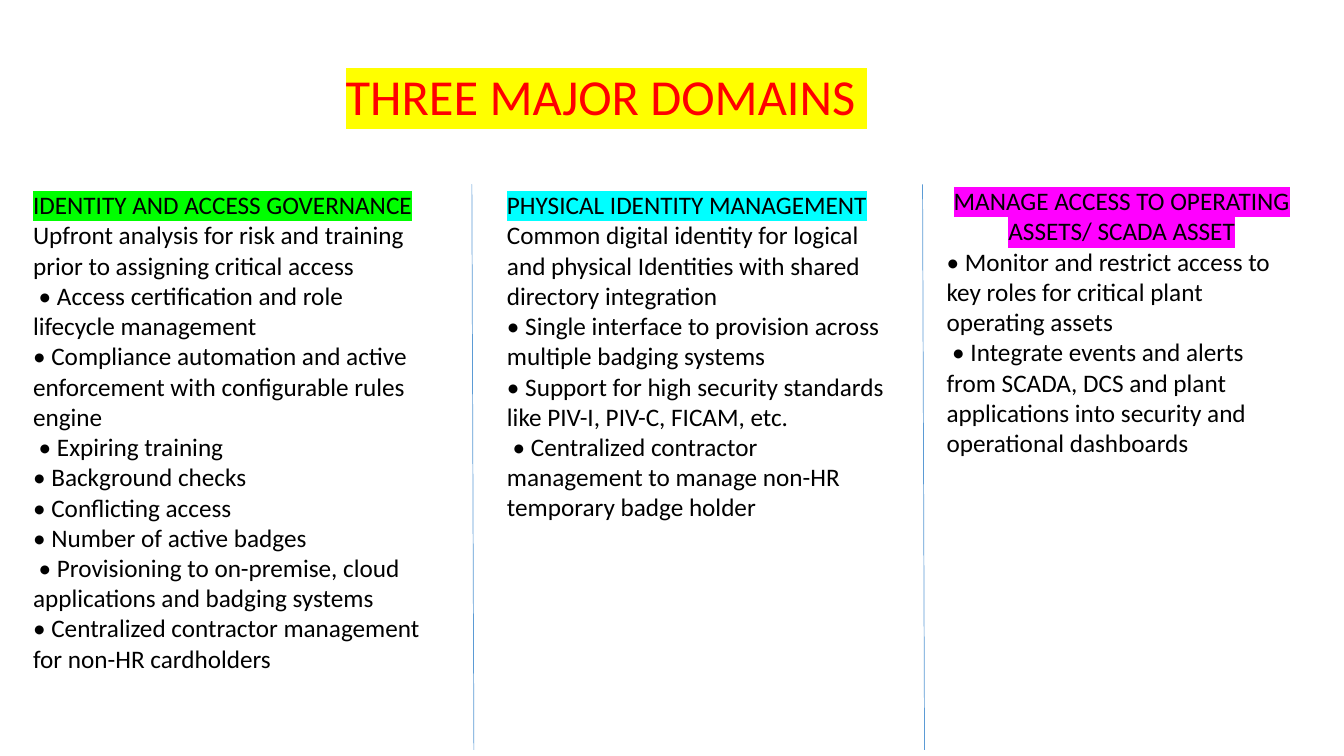
from lxml.etree import SubElement
from pptx import Presentation
from pptx.dml.color import RGBColor
from pptx.enum.shapes import MSO_CONNECTOR
from pptx.enum.text import PP_ALIGN
from pptx.oxml.ns import qn
from pptx.util import Inches, Pt

BLACK = RGBColor(0x00, 0x00, 0x00)
RED = RGBColor(0xFF, 0x00, 0x00)
YELLOW = RGBColor(0xFF, 0xFF, 0x00)
GREEN = RGBColor(0x00, 0xFF, 0x00)
CYAN = RGBColor(0x00, 0xFF, 0xFF)
MAGENTA = RGBColor(0xFF, 0x00, 0xFF)
BLUE = RGBColor(0x5B, 0x9B, 0xD5)

TITLE_FORMAT = {"name": "Calibri", "size": Pt(36)}
BODY_FORMAT = {"name": "Calibri", "size": Pt(18)}

DOMAINS = [
    ((0.23, 1.83, 4.1, 4.95), GREEN, PP_ALIGN.LEFT, "IDENTITY AND ACCESS GOVERNANCE", [
        "Upfront analysis for risk and training prior to assigning critical access",
        " • Access certification and role lifecycle management",
        "• Compliance automation and active enforcement with configurable rules engine",
        " • Expiring training",
        "• Background checks",
        "• Conflicting access",
        "• Number of active badges",
        " • Provisioning to on-premise, cloud applications and badging systems",
        "• Centralized contractor management for non-HR cardholders",
    ]),
    ((4.93, 1.83, 4.08, 3.43), CYAN, PP_ALIGN.LEFT, "PHYSICAL IDENTITY MANAGEMENT", [
        "Common digital identity for logical and physical Identities with shared directory integration",
        "• Single interface to provision across multiple badging systems ",
        "• Support for high security standards like PIV-I, PIV-C, FICAM, etc.",
        " • Centralized contractor management to manage non-HR temporary badge holder",
    ]),
    ((9.29, 1.79, 3.67, 3.43), MAGENTA, PP_ALIGN.CENTER,
     "MANAGE ACCESS TO OPERATING ASSETS/ SCADA ASSET", [
        "• Monitor and restrict access to key roles for critical plant operating assets",
        " • Integrate events and alerts from SCADA, DCS and plant applications into security "
        "and operational dashboards",
    ]),
]
DIVIDER_LEFTS = [4.68, 9.15]


def add_text_frame(slide, box):
    """Add a wrapping text box and return its text frame."""
    tf = slide.shapes.add_textbox(*map(Inches, box)).text_frame
    tf.word_wrap = True
    return tf


def write(p, text, font_format, color, highlight=None):
    """Write one formatted run, highlighted if a colour is given."""
    r = p.add_run()
    r.text = text
    for name, value in font_format.items():
        setattr(r.font, name, value)
    r.font.color.rgb = color
    if highlight is not None:
        mark = SubElement(r.font._element, qn("a:highlight"))
        SubElement(mark, qn("a:srgbClr")).set("val", str(highlight))
        r.font._element.find(qn("a:solidFill")).addnext(mark)


def add_title(slide, box):
    """Add the highlighted slide title."""
    tf = add_text_frame(slide, box)
    write(tf.paragraphs[0], "THREE MAJOR DOMAINS ", TITLE_FORMAT, RED, YELLOW)


def add_domain(slide, box, highlight, alignment, heading, lines):
    """Add a domain column with a highlighted heading above its lines."""
    tf = add_text_frame(slide, box)
    p = tf.paragraphs[0]
    p.alignment = alignment
    write(p, heading, BODY_FORMAT, BLACK, highlight)
    for line in lines:
        write(tf.add_paragraph(), line, BODY_FORMAT, BLACK)


def add_divider(slide, box):
    """Add a thin, slightly slanted line across the given box."""
    left, top, width, height = map(Inches, box)
    line = slide.shapes.add_connector(
        MSO_CONNECTOR.STRAIGHT, left, top, left + width, top + height)
    line.line.color.rgb = BLUE
    line.line.width = Pt(0.5)
    SubElement(line._element.spPr, qn("a:effectLst"))


def main():
    """Build and save the slide."""
    prs = Presentation()
    prs.slide_width, prs.slide_height = Inches(13.33), Inches(7.5)
    slide = prs.slides.add_slide(prs.slide_layouts[6])
    add_title(slide, (3.33, 0.6, 6.96, 0.71))
    for domain in DOMAINS:
        add_domain(slide, *domain)
    for left in DIVIDER_LEFTS:
        add_divider(slide, (left, 1.83, 0.02, 5.61))
    prs.save("out.pptx")


if __name__ == "__main__":
    main()
